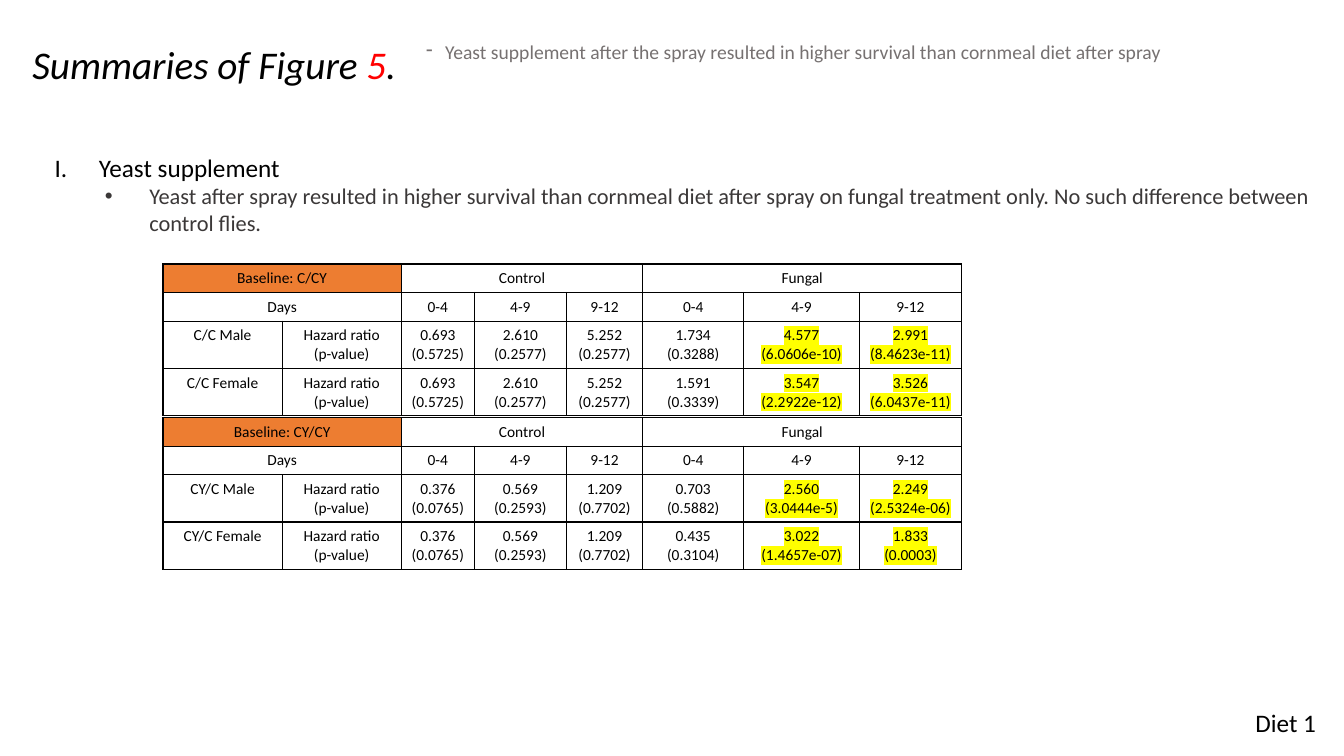
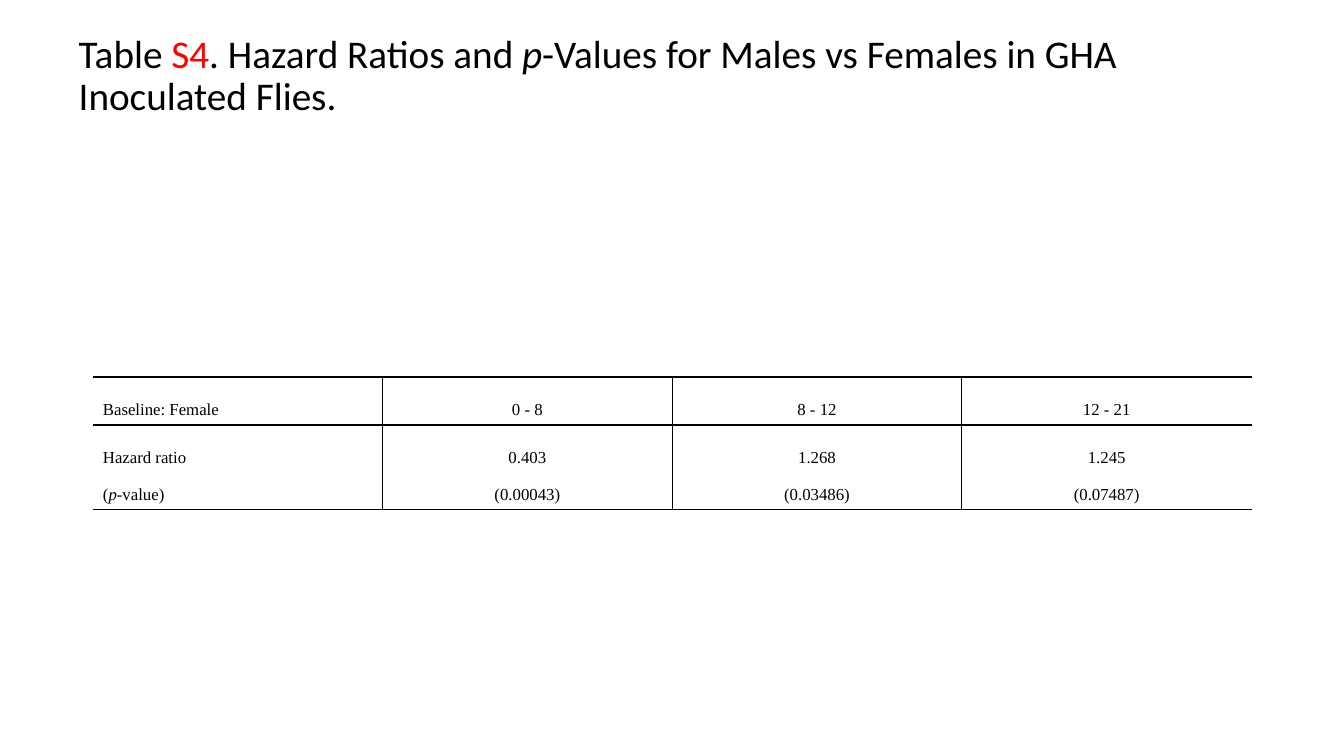
from dataclasses import dataclass

from lxml.etree import SubElement
from pptx import Presentation
from pptx.dml.color import RGBColor
from pptx.enum.text import MSO_ANCHOR, MSO_AUTO_SIZE, PP_ALIGN
from pptx.oxml.ns import qn
from pptx.util import Cm, Pt

BLACK = RGBColor(0x00, 0x00, 0x00)
RED = RGBColor(0xFF, 0x00, 0x00)
ORANGE = RGBColor(0xED, 0x7D, 0x31)
YELLOW = RGBColor(0xFF, 0xFF, 0x00)
NOTE_GREY = RGBColor(0x76, 0x71, 0x71)
LIST_GREY = RGBColor(0x3B, 0x38, 0x38)

SANS = "Calibri"
SERIF = "Times New Roman"

TITLE_AND_CONTENT = 1
TITLE_ONLY = 5

SURVIVAL_WIDTHS = (3, 3, 1.85, 2.31, 1.93, 2.54, 2.92, 2.57)
SURVIVAL_HEIGHTS = (0.72, 0.72, 1.19, 1.19)
DAYS = ("0-4", "4-9", "9-12")
SPANS = {0: ((0, 1), (2, 4), (5, 7)), 1: ((0, 1),)}
SIGNIFICANT_COLUMNS = (6, 7)

DIET_GROUPS = {
    "C/CY": {
        "C/C Male": (
            ("0.693", "(0.5725)"), ("2.610", "(0.2577)"), ("5.252", "(0.2577)"),
            ("1.734", "(0.3288)"), ("4.577", "(6.0606e-10)"), ("2.991", "(8.4623e-11)"),
        ),
        "C/C Female": (
            ("0.693", "(0.5725)"), ("2.610", "(0.2577)"), ("5.252", "(0.2577)"),
            ("1.591", "(0.3339)"), ("3.547", "(2.2922e-12)"), ("3.526", "(6.0437e-11)"),
        ),
    },
    "CY/CY": {
        "CY/C Male": (
            ("0.376", "(0.0765)"), ("0.569", "(0.2593)"), ("1.209", "(0.7702)"),
            ("0.703", "(0.5882)"), ("2.560", "(3.0444e-5)"), ("2.249", "(2.5324e-06)"),
        ),
        "CY/C Female": (
            ("0.376", "(0.0765)"), ("0.569", "(0.2593)"), ("1.209", "(0.7702)"),
            ("0.435", "(0.3104)"), ("3.022", "(1.4657e-07)"), ("1.833", "(0.0003)"),
        ),
    },
}

SEX_ROWS = (
    (("Baseline: Female",), ("0 - 8",), ("8 - 12",), ("12 - 21",)),
    (
        ("Hazard ratio", (("(", {}), ("p", {"italic": True}), ("-value)", {}))),
        ("0.403", "(0.00043)"),
        ("1.268", "(0.03486)"),
        ("1.245", "(0.07487)"),
    ),
)


@dataclass(frozen=True)
class TextStyle:
    size: float
    color: RGBColor = BLACK
    font: str = SANS
    italic: bool = False


TITLE = TextStyle(28)
FIGURE_TITLE = TextStyle(28, italic=True)
NOTE = TextStyle(14, NOTE_GREY)
LABEL = TextStyle(18)
DETAIL = TextStyle(16, LIST_GREY)
SURVIVAL_CELL = TextStyle(11)
SEX_CELL = TextStyle(12, font=SERIF)


def add_run(paragraph, text, style, color=None, italic=None, highlight=None):
    run = paragraph.add_run()
    run.text = text
    font = run.font
    font.size = Pt(style.size)
    font.name = style.font
    font.bold = False
    font.italic = style.italic if italic is None else italic
    font.color.rgb = color or style.color
    if highlight:
        properties = font.fill._xPr
        mark = SubElement(properties, qn("a:highlight"))
        SubElement(mark, qn("a:srgbClr"), val=str(highlight))
        properties.find(qn("a:solidFill")).addnext(mark)


def place(shape, left, top, width, height):
    shape.left, shape.top = Cm(left), Cm(top)
    shape.width, shape.height = Cm(width), Cm(height)


def set_bullet(paragraph, indent, tag, **attributes):
    """Give a paragraph a hanging bullet, ending at indent centimetres from its hang."""
    margin, hang = indent
    properties = paragraph._p.get_or_add_pPr()
    properties.set("marL", str(Cm(margin)))
    properties.set("indent", str(-Cm(hang)))
    SubElement(properties, qn(tag), **attributes)


def add_title(slide, box, runs, style):
    title = slide.shapes.title
    place(title, *box)
    frame = title.text_frame
    frame.auto_size = MSO_AUTO_SIZE.NONE
    frame.vertical_anchor = MSO_ANCHOR.TOP
    paragraph = frame.paragraphs[0]
    paragraph.alignment = PP_ALIGN.LEFT
    paragraph.line_spacing = 0.9
    for text, overrides in runs:
        add_run(paragraph, text, style, **overrides)


def add_text_box(slide, box, text, style):
    text_box = slide.shapes.add_textbox(*map(Cm, box))
    text_box.text_frame.word_wrap = True
    paragraph = text_box.text_frame.paragraphs[0]
    add_run(paragraph, text, style)
    return paragraph


def fill_finding_list(slide):
    body = slide.placeholders[1]
    place(body, 1.12, 3.71, 32.2, 2.5)
    frame = body.text_frame
    frame.auto_size = MSO_AUTO_SIZE.NONE
    heading, detail = frame.paragraphs[0], frame.add_paragraph()
    detail.level = 1
    for paragraph in (heading, detail):
        paragraph.space_before = Pt(0)
    set_bullet(heading, (1.12, 1.12), "a:buAutoNum", type="romanUcPeriod")
    set_bullet(detail, (2.39, 1.12), "a:buChar", char="•")
    add_run(heading, "Yeast supplement", LABEL)
    add_run(
        detail,
        "Yeast after spray resulted in higher survival than cornmeal diet after spray "
        "on fungal treatment only. No such difference between control flies.",
        DETAIL,
    )


def set_borders(cell, hidden=()):
    properties = cell._tc.get_or_add_tcPr()
    for position, side in enumerate("LRTB"):
        line = SubElement(properties, qn(f"a:ln{side}"), w=str(Pt(1)))
        if side in hidden:
            SubElement(line, qn("a:noFill"))
        else:
            fill = SubElement(line, qn("a:solidFill"))
            SubElement(fill, qn("a:srgbClr"), val=str(BLACK))
        properties.insert(position, line)


def write_cell(cell, lines, style, alignment, line_spacing=1.0, highlight=None):
    """Write one paragraph per line; a line is a string or a sequence of (text, overrides)."""
    frame = cell.text_frame
    for index, line in enumerate(lines):
        paragraph = frame.add_paragraph() if index else frame.paragraphs[0]
        paragraph.alignment = alignment
        paragraph.line_spacing = line_spacing
        runs = ((line, {}),) if isinstance(line, str) else line
        for text, overrides in runs:
            add_run(paragraph, text, style, highlight=highlight, **overrides)


def add_plain_table(slide, left, top, widths, heights):
    """Add a table with no banding and no fills."""
    frame = slide.shapes.add_table(
        len(heights), len(widths), Cm(left), Cm(top), Cm(sum(widths)), Cm(sum(heights))
    )
    table = frame.table
    table.first_row = table.horz_banding = False
    for column, width in zip(table.columns, widths):
        column.width = Cm(width)
    for row, height in zip(table.rows, heights):
        row.height = Cm(height)
    for cell in table.iter_cells():
        cell.fill.background()
    return table


def survival_rows(baseline, groups):
    yield ((f"Baseline: {baseline}",), (), ("Control",), (), (), ("Fungal",), (), ())
    yield (("Days",), (), *((day,) for day in DAYS * 2))
    for group, results in groups.items():
        yield ((group,), ("Hazard ratio", "(p-value)"), *results)


def add_survival_table(slide, top, baseline, groups):
    table = add_plain_table(slide, 4.11, top, SURVIVAL_WIDTHS, SURVIVAL_HEIGHTS)
    for row, spans in SPANS.items():
        for first, last in spans:
            table.cell(row, first).merge(table.cell(row, last))
    for row, contents in enumerate(survival_rows(baseline, groups)):
        for column, lines in enumerate(contents):
            cell = table.cell(row, column)
            cell.margin_left = cell.margin_right = Cm(0.15)
            significant = row > 1 and column in SIGNIFICANT_COLUMNS
            write_cell(cell, lines, SURVIVAL_CELL, PP_ALIGN.CENTER,
                       highlight=YELLOW if significant else None)
            set_borders(cell)
    baseline_fill = table.cell(0, 0).fill
    baseline_fill.solid()
    baseline_fill.fore_color.rgb = ORANGE


def add_sex_table(slide):
    table = add_plain_table(slide, 2.34, 9.5, (7.3,) * 4, (1.21, 2.12))
    last_column = len(table.columns) - 1
    for row, contents in enumerate(SEX_ROWS):
        for column, lines in enumerate(contents):
            cell = table.cell(row, column)
            cell.vertical_anchor = MSO_ANCHOR.MIDDLE
            cell.margin_top = cell.margin_bottom = Cm(0.08)
            alignment = PP_ALIGN.CENTER if column else PP_ALIGN.LEFT
            write_cell(cell, lines, SEX_CELL, alignment, line_spacing=2.0)
            set_borders(cell, hidden={0: "L", last_column: "R"}.get(column, ""))


def build_diet_slide(presentation):
    slide = presentation.slides.add_slide(presentation.slide_layouts[TITLE_AND_CONTENT])
    add_title(
        slide,
        (0.56, 1.02, 10, 1.6),
        (("Summaries of Figure ", {}), ("5", {"color": RED}), (".", {})),
        FIGURE_TITLE,
    )
    note = add_text_box(
        slide,
        (10.49, 0.89, 22.28, 1.45),
        "Yeast supplement after the spray resulted in higher survival "
        "than cornmeal diet after spray",
        NOTE,
    )
    set_bullet(note, (0.48, 0.48), "a:buChar", char="-")
    add_text_box(slide, (31.39, 17.7, 2.3, 1.02), "Diet 1", LABEL)
    fill_finding_list(slide)
    for top, (baseline, groups) in zip((6.65, 10.52), DIET_GROUPS.items()):
        add_survival_table(slide, top, baseline, groups)


def build_sex_slide(presentation):
    slide = presentation.slides.add_slide(presentation.slide_layouts[TITLE_ONLY])
    add_title(
        slide,
        (1.73, 0.74, 29.21, 2.6),
        (
            ("Table ", {}),
            ("S4", {"color": RED}),
            (". Hazard Ratios and ", {}),
            ("p", {"italic": True}),
            ("-Values for Males vs Females in GHA Inoculated Flies.", {}),
        ),
        TITLE,
    )
    add_sex_table(slide)


def main():
    presentation = Presentation()
    presentation.slide_width, presentation.slide_height = Cm(33.87), Cm(19.05)
    build_diet_slide(presentation)
    build_sex_slide(presentation)
    presentation.save("out.pptx")


if __name__ == "__main__":
    main()
